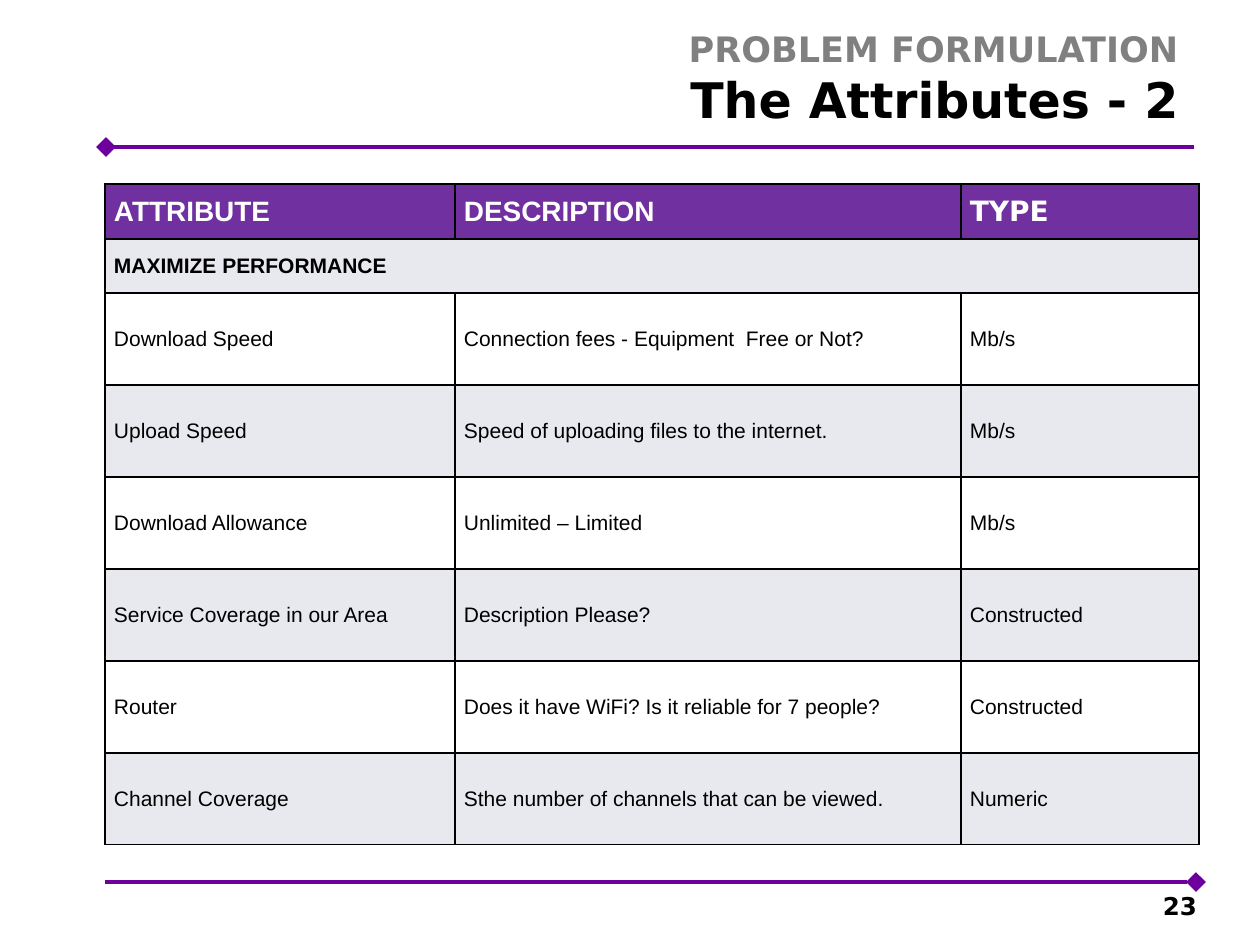
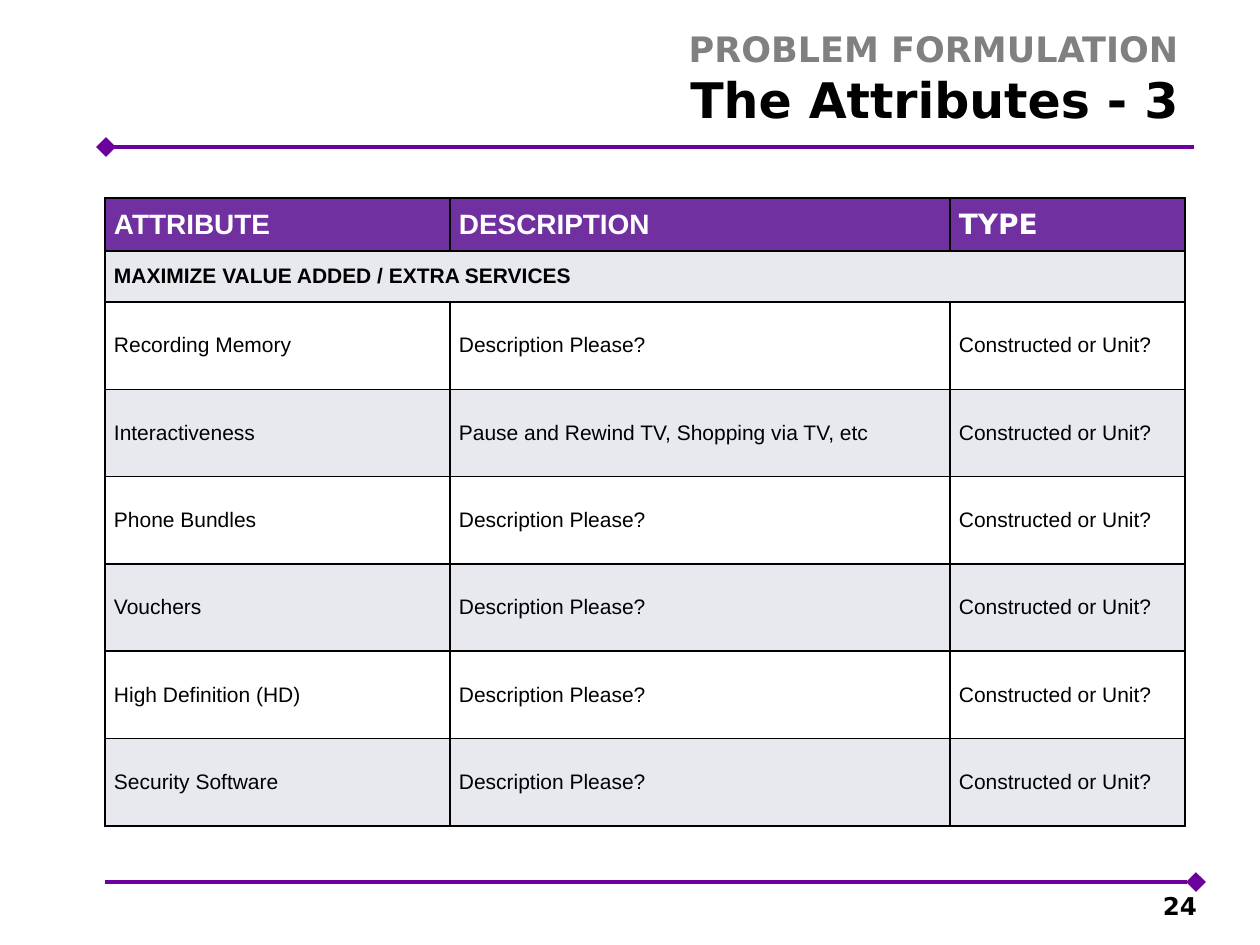
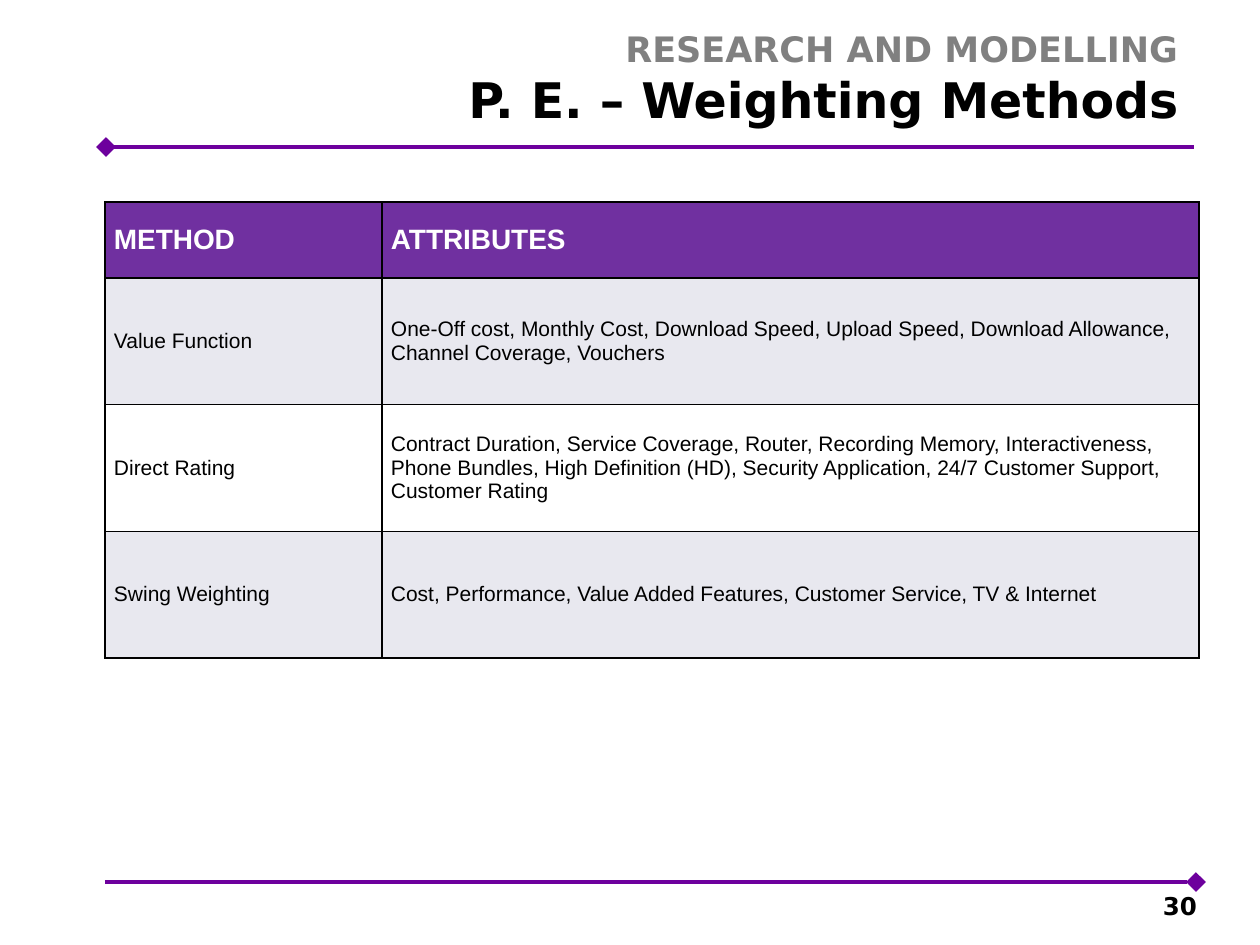
import lxml.etree
import pptx
import pptx.dml.color
import pptx.enum.shapes
import pptx.enum.text
import pptx.oxml.ns
import pptx.util

# Shared look
SCALE = 914400 / 126
SANS, ARIAL = "DejaVu Sans", "Arial"
BLACK, WHITE, GREY = "000000", "FFFFFF", "808080"
RULE, HEAD, SHADE = "6D009D", "7030A0", "E8E8EF"
LEFT = 105
ALIGN = pptx.enum.text.PP_ALIGN
ANCHOR = pptx.enum.text.MSO_ANCHOR

# Slide content: a row with one entry spans the whole table
TITLES = ["ATTRIBUTE", "DESCRIPTION", "TYPE"]
ASK, UNIT = "Description Please?", "Constructed or Unit?"
SPEED = [
    TITLES,
    ["MAXIMIZE PERFORMANCE"],
    ["Download Speed", "Connection fees - Equipment  Free or Not?", "Mb/s"],
    ["Upload Speed", "Speed of uploading files to the internet.", "Mb/s"],
    ["Download Allowance", "Unlimited – Limited", "Mb/s"],
    ["Service Coverage in our Area", ASK, "Constructed"],
    ["Router", "Does it have WiFi? Is it reliable for 7 people?", "Constructed"],
    ["Channel Coverage", "Sthe number of channels that can be viewed.", "Numeric"],
]
EXTRAS = [
    TITLES,
    ["MAXIMIZE VALUE ADDED / EXTRA SERVICES"],
    ["Recording Memory", ASK, UNIT],
    ["Interactiveness", "Pause and Rewind TV, Shopping via TV, etc", UNIT],
    ["Phone Bundles", ASK, UNIT],
    ["Vouchers", ASK, UNIT],
    ["High Definition (HD)", ASK, UNIT],
    ["Security Software", ASK, UNIT],
]
METHODS = [
    ["METHOD", "ATTRIBUTES"],
    ["Value Function",
     "One-Off cost, Monthly Cost, Download Speed, Upload Speed, "
     "Download Allowance, Channel Coverage, Vouchers"],
    ["Direct Rating",
     "Contract Duration, Service Coverage, Router, Recording Memory, "
     "Interactiveness, Phone Bundles, High Definition (HD), "
     "Security Application, 24/7 Customer Support, Customer Rating"],
    ["Swing Weighting",
     "Cost, Performance, Value Added Features, Customer Service, TV & Internet"],
]


def px(length):
    return pptx.util.Emu(round(length * SCALE))


def color(code):
    return pptx.dml.color.RGBColor.from_string(code)


def style(font, size, code, name=None, bold=None):
    font.size = pptx.util.Pt(size)
    font.color.rgb = color(code)
    if name:
        font.name = name
    if bold is not None:
        font.bold = bold


def add_rule(slide, start, stop, y, end):
    """Draw a level line with a diamond at its headEnd or tailEnd."""
    line = slide.shapes.add_connector(
        pptx.enum.shapes.MSO_CONNECTOR.STRAIGHT, px(start), px(y), px(stop), px(y))
    line.line.color.rgb = color(RULE)
    line.line.width = pptx.util.Pt(2.25)
    tag = pptx.oxml.ns.qn
    props = line.element.find(tag("p:spPr"))
    lxml.etree.SubElement(props.find(tag("a:ln")), tag("a:" + end),
                          type="diamond", w="lg", len="lg")
    lxml.etree.SubElement(props, tag("a:effectLst"))


def add_title(slide, topic, name):
    title = slide.shapes.title
    title.left, title.top, title.width, title.height = map(px, (333, 21, 858, 113))
    frame = title.text_frame
    frame.auto_size = pptx.enum.text.MSO_AUTO_SIZE.NONE
    frame.vertical_anchor = ANCHOR.TOP
    para = frame.paragraphs[0]
    para.alignment = ALIGN.RIGHT
    para.font.name, para.font.bold = SANS, True
    run = para.add_run()
    run.text = topic
    style(run.font, 20, GREY)
    para.add_line_break()
    run = para.add_run()
    run.text = name
    style(run.font, 28, BLACK)


def add_number(slide, number):
    box = slide.shapes.add_textbox(*map(px, (903, 890, 294, 37)))
    frame = box.text_frame
    frame.word_wrap = True
    frame.vertical_anchor = ANCHOR.BOTTOM
    frame.margin_right = 0
    para = frame.paragraphs[0]
    para.text = str(number)
    para.alignment = ALIGN.RIGHT
    style(para.font, 14, BLACK, SANS, True)


def add_border(cell):
    props = cell._tc.get_or_add_tcPr()
    tag = pptx.oxml.ns.qn
    for index, side in enumerate("LRTB"):
        line = lxml.etree.Element(tag("a:ln" + side), w="12700")
        fill = lxml.etree.SubElement(line, tag("a:solidFill"))
        lxml.etree.SubElement(fill, tag("a:srgbClr"), val=BLACK)
        props.insert(index, line)


def set_cell(cell, text, size, code, name, bold):
    cell.vertical_anchor = ANCHOR.MIDDLE
    cell.margin_left = cell.margin_right = px(9)
    cell.margin_top = cell.margin_bottom = 0
    para = cell.text_frame.paragraphs[0]
    para.text = text
    style(para.font, size, code, name, bold)


def add_grid(slide, top, height, widths, heads, rows):
    """Add a table: heads are the first row heights, the rest share what is left."""
    count = len(rows)
    grid = slide.shapes.add_table(count, len(widths), px(LEFT), px(top),
                                  px(sum(widths)), px(height)).table
    grid.first_row = grid.horz_banding = False
    for column, width in zip(grid.columns, widths):
        column.width = px(width)
    share = (height - sum(heads)) / (count - len(heads))
    for r, texts in enumerate(rows):
        grid.rows[r].height = px(heads[r] if r < len(heads) else share)
        for c in range(len(widths)):
            cell = grid.cell(r, c)
            cell.fill.solid()
            cell.fill.fore_color.rgb = color(
                HEAD if r == 0 else SHADE if r % 2 else WHITE)
            add_border(cell)
        band = len(texts) == 1
        if band:
            grid.cell(r, 0).merge(grid.cell(r, len(widths) - 1))
        for c, text in enumerate(texts):
            if r == 0:
                look = 16, WHITE, SANS if c == 2 else ARIAL, True
            else:
                look = 12, BLACK, ARIAL, band
            set_cell(grid.cell(r, c), text, *look)


def add_page(deck, topic, name, number):
    slide = deck.slides.add_slide(deck.slide_layouts[5])
    add_rule(slide, 106, 1194, 147, "headEnd")
    add_rule(slide, LEFT, 1196, 882, "tailEnd")
    add_title(slide, topic, name)
    add_number(slide, number)
    return slide


def main():
    deck = pptx.Presentation()
    deck.slide_width, deck.slide_height = px(1260), px(945)

    # Performance attributes
    page = add_page(deck, "PROBLEM FORMULATION", "The Attributes - 2", 23)
    add_grid(page, 184, 661, [350, 506, 238], [55, 54], SPEED)

    # Extra service attributes
    page = add_page(deck, "PROBLEM FORMULATION", "The Attributes - 3", 24)
    add_grid(page, 198, 628, [345, 500, 235], [53, 51], EXTRAS)

    # Weighting methods
    page = add_page(deck, "RESEARCH AND MODELLING", "P. E. – Weighting Methods", 30)
    add_grid(page, 202, 456, [277, 817], [76], METHODS)

    deck.save("out.pptx")


if __name__ == "__main__":
    main()
